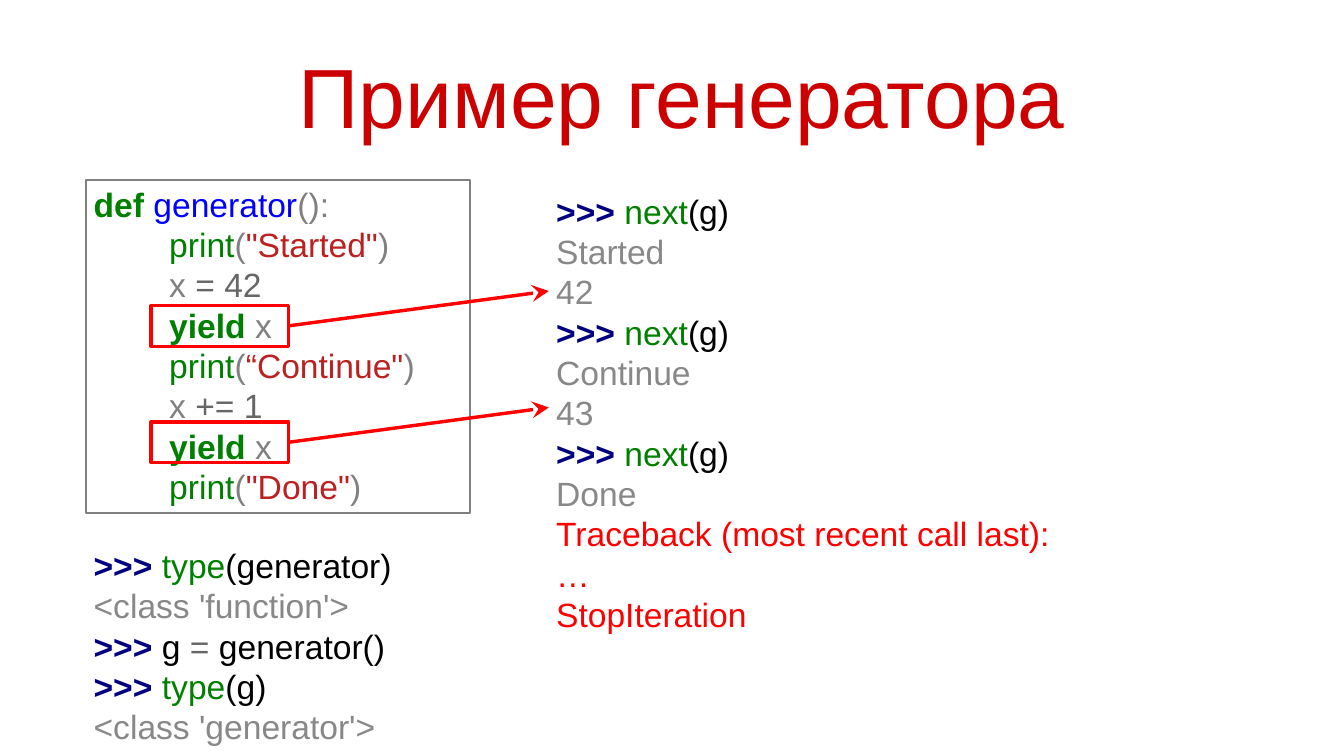
from lxml import etree
from pptx import Presentation
from pptx.dml.color import RGBColor
from pptx.enum.shapes import MSO_CONNECTOR, MSO_SHAPE
from pptx.enum.text import MSO_ANCHOR, PP_ALIGN
from pptx.oxml.ns import qn
from pptx.util import Pt

RECT = MSO_SHAPE.RECTANGLE
STRAIGHT = MSO_CONNECTOR.STRAIGHT
TOP, MIDDLE = MSO_ANCHOR.TOP, MSO_ANCHOR.MIDDLE
LEFT, CENTER = PP_ALIGN.LEFT, PP_ALIGN.CENTER
RIGHT_SIDE = 3

PX = 9144  # EMU per px, 100 px to the inch
TAB = 100  # px
FONT = "Arial"

WHITE = RGBColor(0xFF, 0xFF, 0xFF)
BLACK = RGBColor(0x00, 0x00, 0x00)
TITLE_RED = RGBColor(0xCD, 0x00, 0x00)
RED = RGBColor(0xFF, 0x00, 0x00)
GREEN = RGBColor(0x00, 0x80, 0x00)
BLUE = RGBColor(0x00, 0x00, 0xFF)
NAVY = RGBColor(0x00, 0x00, 0x80)
BRICK = RGBColor(0xBB, 0x21, 0x21)
GRAY = RGBColor(0x80, 0x80, 0x80)
DARK_GRAY = RGBColor(0x66, 0x66, 0x66)
LIGHT_GRAY = RGBColor(0x88, 0x88, 0x88)

# Each style is a colour and whether the text is bold
KEYWORD, PROMPT = (GREEN, True), (NAVY, True)
BUILTIN, FUNCTION, STRING = (GREEN, False), (BLUE, False), (BRICK, False)
NAME, OPERATOR, PLAIN = (GRAY, False), (DARK_GRAY, False), (BLACK, False)
OUTPUT, ERROR = (LIGHT_GRAY, False), (RED, False)


def print_line(literal):
    return [("\t", PROMPT), ("print", BUILTIN), ("(", NAME),
            (literal, STRING), (")", NAME)]


def assign_line(value):
    return [("\t", PROMPT), ("x ", NAME), (value, OPERATOR)]


def yield_line():
    return [("\t", PROMPT), ("yield ", KEYWORD), ("x", NAME)]


def call_line(function, argument):
    return [(">>> ", PROMPT), (function, BUILTIN), (f"({argument})", PLAIN)]


def output_lines(*texts, style=OUTPUT):
    return [[(text, style)] for text in texts]


GENERATOR_CODE = [
    [("def ", KEYWORD), ("generator", FUNCTION), ("():", NAME)],
    print_line('"Started"'),
    assign_line("= 42"),
    yield_line(),
    print_line('“Continue"'),
    assign_line("+= 1"),
    yield_line(),
    print_line('"Done"'),
]
NEXT_SESSION = [
    call_line("next", "g"),
    *output_lines("Started", "42"),
    call_line("next", "g"),
    *output_lines("Continue", "43"),
    call_line("next", "g"),
    *output_lines("Done"),
    *output_lines("Traceback (most recent call last):", "…", "StopIteration",
                  style=ERROR),
]
TYPE_SESSION = [
    call_line("type", "generator"),
    *output_lines("<class 'function'>"),
    [(">>> ", PROMPT), ("g ", PLAIN), ("= ", OPERATOR),
     ("generator()", PLAIN)],
    call_line("type", "g"),
    *output_lines("<class 'generator'>"),
]


def box(*lengths):
    return [length * PX for length in lengths]


def set_attrs(target, values):
    for name, value in values.items():
        setattr(target, name, value)


def add_run(p, text, size, color, bold=False):
    r = p.add_run()
    r.text = text
    set_attrs(r.font, {"name": FONT, "size": Pt(size), "bold": bold})
    r.font.color.rgb = color


def add_title(slide, text):
    sp = slide.shapes.title
    left, top, width, height = box(26, 0, 1752, 250)
    set_attrs(sp, {"left": left, "top": top, "width": width, "height": height})
    tf = sp.text_frame
    margins = ("margin_left", "margin_top", "margin_right", "margin_bottom")
    set_attrs(tf, {"vertical_anchor": MIDDLE, "word_wrap": True,
                   **dict.fromkeys(margins, 6 * PX)})
    p = tf.paragraphs[0]
    p.alignment = CENTER
    add_run(p, text, 80, TITLE_RED)


def fill_code(tf, lines):
    """Write lines of (text, style) pairs, one paragraph per line."""
    set_attrs(tf, {"word_wrap": True, "vertical_anchor": TOP})
    for i, line in enumerate(lines):
        p = tf.add_paragraph() if i else tf.paragraphs[0]
        p.alignment = LEFT
        p._p.get_or_add_pPr().set("defTabSz", str(TAB * PX))
        for text, (color, bold) in line:
            add_run(p, text, 32, color, bold)


def add_frame(slide, at, color, width, fill=None):
    sp = slide.shapes.add_shape(RECT, *box(*at))
    sp.shadow.inherit = False
    if fill is None:
        sp.fill.background()
    else:
        sp.fill.solid()
        sp.fill.fore_color.rgb = fill
    sp.line.color.rgb = color
    sp.line.width = Pt(width)
    return sp


def add_session(slide, at, lines):
    fill_code(slide.shapes.add_textbox(*box(*at)).text_frame, lines)


def add_yield_arrow(slide, top):
    """Frame a yield statement and point from it to the value it returns."""
    frame = add_frame(slide, (200, top, 182, 54), RED, 3.25)
    arrow = slide.shapes.add_connector(
        STRAIGHT, *box(382, top + 27, 726, top - 19))
    arrow.begin_connect(frame, RIGHT_SIDE)
    arrow.line.color.rgb = RED
    arrow.line.width = Pt(3.25)
    etree.SubElement(arrow.line._get_or_add_ln(), qn("a:tailEnd"),
                     type="stealth", w="lg", len="lg")
    etree.SubElement(arrow._element.spPr, qn("a:effectLst"))


def main():
    prs = Presentation()
    prs.slide_width, prs.slide_height = box(1778, 1000)
    slide = prs.slides.add_slide(prs.slide_layouts[5])
    add_title(slide, "Пример генератора")
    code = add_frame(slide, (114, 238, 508, 441), GRAY, 2, fill=WHITE)
    fill_code(code.text_frame, GENERATOR_CODE)
    add_session(slide, (726, 247, 926, 602), NEXT_SESSION)
    add_session(slide, (114, 716, 889, 279), TYPE_SESSION)
    for top in (404, 558):
        add_yield_arrow(slide, top)
    prs.save("out.pptx")


if __name__ == "__main__":
    main()
